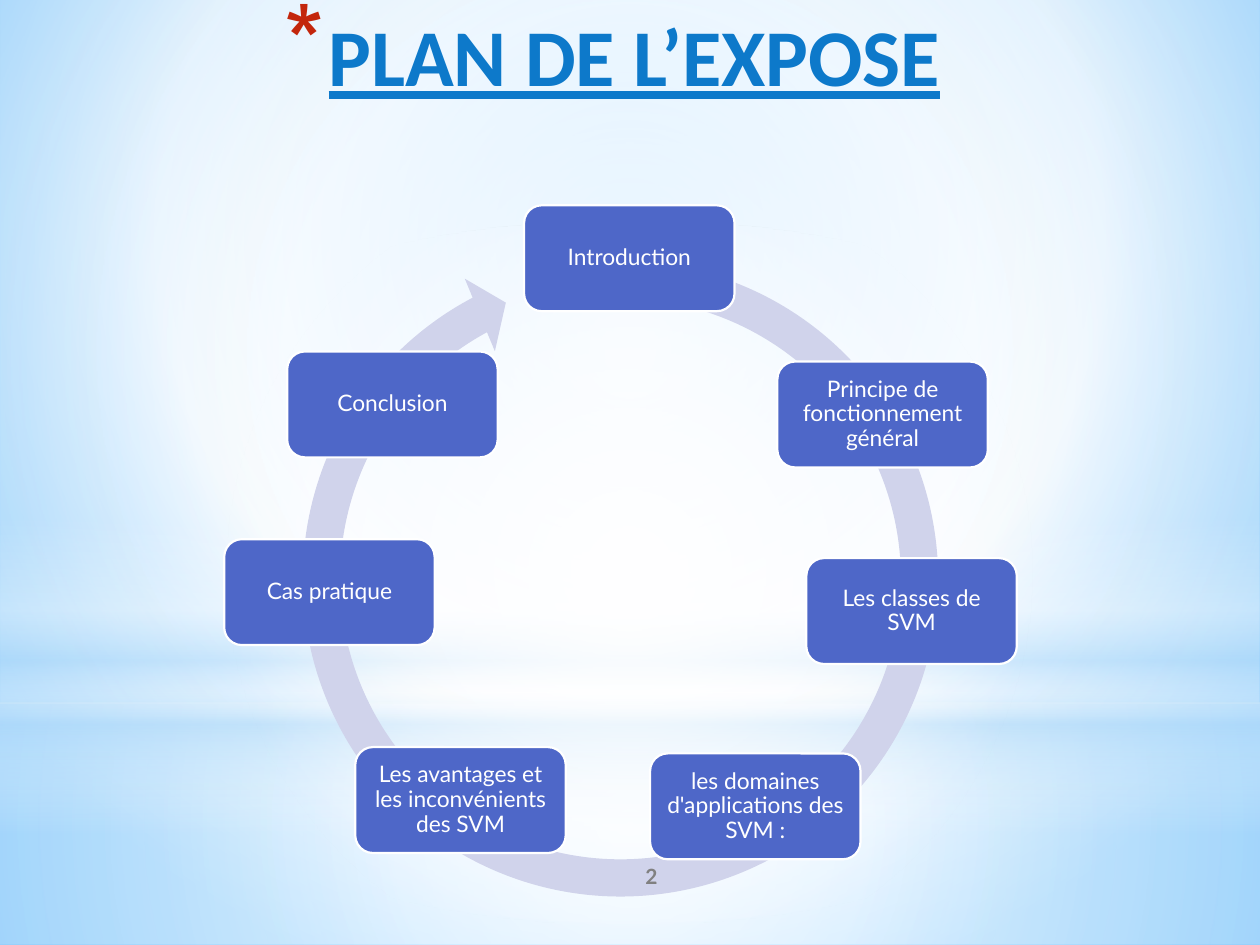
from lxml import etree
from pptx import Presentation
from pptx.dml.color import RGBColor
from pptx.enum.shapes import MSO_SHAPE
from pptx.enum.text import MSO_ANCHOR, MSO_AUTO_SIZE, PP_ALIGN
from pptx.oxml import parse_xml
from pptx.util import Inches, Pt

RECT, OVAL = MSO_SHAPE.RECTANGLE, MSO_SHAPE.OVAL
CARD, RING = MSO_SHAPE.ROUNDED_RECTANGLE, MSO_SHAPE.CIRCULAR_ARROW
TOP, MIDDLE = MSO_ANCHOR.TOP, MSO_ANCHOR.MIDDLE
NO_FIT, CENTER = MSO_AUTO_SIZE.NONE, PP_ALIGN.CENTER
NS = "http://schemas.openxmlformats.org/drawingml/2006/main"

COLORS = {
    "white": "FFFFFF", "pale": "B4DCFA", "sky": "9ED5FF", "deep": "5BB9FF",
    "title": "0D79CA", "star": "C3260C", "ring": "D0D3EB",
    "card": "4E67C8", "number": "808080",
}

# Gradient stops: position, colour, opacity (all in percent)
BACK = [(0, "sky", 100), (60, "white", 100), (100, "deep", 100)]
MID = (50, 50, 50, 50)
LAYERS = [
    (RECT, (0, 5.58, 10, 1.92),
     [(0, "white", 91), (37, "white", 76), (100, "pale", 79)], MID),
    (RECT, (0, 0, 10, 5.58),
     [(0, "white", 89), (48, "white", 62), (100, "pale", 79)], MID),
    (RECT, (0, 4.12, 10, 2.5),
     [(0, "white", 0), (29, "white", 30), (45, "pale", 40),
      (55, "white", 26), (65, "pale", 60), (100, "white", 0)], None),
    (OVAL, (0, 1.75, 10, 5.58),
     [(0, "white", 100), (56, "white", 0)], MID),
]

CARDS = [
    (4.16, 1.63, "Introduction"),
    (6.17, 2.87, "Principe de fonctionnement général"),
    (6.4, 4.43, "Les classes de SVM"),
    (5.16, 5.98, "les domaines d'applications des SVM :"),
    (2.82, 5.93, "Les avantages et les inconvénients des SVM"),
    (1.78, 4.28, "Cas pratique"),
    (2.28, 2.79, "Conclusion"),
]


def rgb(name):
    return RGBColor.from_string(COLORS[name])


def blend(stops, focus):
    """Gradient fill: round towards focus, or top to bottom without one."""
    marks = "".join(
        f'<a:gs pos="{pos * 1000}"><a:srgbClr val="{COLORS[name]}">'
        f'<a:alpha val="{alpha * 1000}"/></a:srgbClr></a:gs>'
        for pos, name, alpha in stops)
    way = '<a:lin ang="5400000" scaled="0"/>'
    if focus:
        sides = " ".join(f'{side}="{part * 1000}"'
                         for side, part in zip("ltrb", focus))
        way = f'<a:path path="circle"><a:fillToRect {sides}/></a:path>'
    return parse_xml(f'<a:gradFill xmlns:a="{NS}" rotWithShape="1">'
                     f'<a:gsLst>{marks}</a:gsLst>{way}</a:gradFill>')


def add_form(slide, kind, box, color):
    form = slide.shapes.add_shape(kind, *map(Inches, box))
    form.shadow.inherit = False
    form.fill.solid()
    form.fill.fore_color.rgb = rgb(color)
    form.line.fill.background()
    return form


def swap_fill(parent, fill):
    old = parent.find(f"{{{NS}}}solidFill")
    parent.replace(old, fill)


def set_text(frame, text, size, face, color, anchor, bold=False):
    frame.text = text
    frame.word_wrap = True
    frame.auto_size = NO_FIT
    frame.vertical_anchor = anchor
    para = frame.paragraphs[0]
    para.alignment = CENTER
    font = para.font
    font.size, font.name, font.bold = Pt(size), face, bold
    font.color.rgb = rgb(color)
    return para


def add_back(slide):
    fill = slide.background.fill
    fill.solid()
    fill.fore_color.rgb = rgb("white")
    root = slide.background._cSld.bg.bgPr
    swap_fill(root, blend(BACK, (20, 10, 20, 60)))
    for kind, box, stops, focus in LAYERS:
        layer = add_form(slide, kind, box, "white")
        swap_fill(layer.element.spPr, blend(stops, focus))


def add_title(slide, text):
    title = slide.shapes.title
    title.left, title.top = Inches(1.3), Inches(0)
    title.width, title.height = Inches(7.12), Inches(1.25)
    para = set_text(title.text_frame, text, 46, "Calibri", "title", TOP, True)
    para.font.underline = True
    # Star bullet with a hanging indent
    props = para._p.get_or_add_pPr()
    props.set("marL", str(Inches(0.35)))
    props.set("indent", str(Inches(-0.35)))
    marks = [etree.Element(f"{{{NS}}}{tag}")
             for tag in ("buClr", "buSzPct", "buChar")]
    etree.SubElement(marks[0], f"{{{NS}}}srgbClr", val=COLORS["star"])
    marks[1].set("val", "128000")
    marks[2].set("char", "*")
    for spot, mark in enumerate(marks):
        props.insert(spot, mark)
    # Bring the title in front of the backdrop
    slide.shapes.element.append(title.element)


def add_ring(slide):
    ring = add_form(slide, RING, (2.24, 1.91, 5.37, 5.37), "ring")
    for spot, value in enumerate((0.055, 3.307, 145.166, 169.498, 0.058)):
        ring.adjustments[spot] = value


def add_card(slide, left, top, text):
    card = add_form(slide, CARD, (left, top, 1.67, 0.84), "card")
    card.line.color.rgb = rgb("white")
    card.line.width = Pt(1.25)
    frame = card.text_frame
    frame.margin_left = frame.margin_right = Inches(0.05)
    frame.margin_top = frame.margin_bottom = Inches(0.05)
    para = set_text(frame, text, 13, "Lato", "white", MIDDLE)
    para.line_spacing = 0.9


def add_number(slide, text):
    box = slide.shapes.add_textbox(*map(Inches, (4.17, 6.75, 2, 0.4)))
    set_text(box.text_frame, text, 12, "Lato", "number", MIDDLE, True)


def main():
    deck = Presentation()
    deck.slide_width, deck.slide_height = Inches(10), Inches(7.5)
    slide = deck.slides.add_slide(deck.slide_layouts[5])
    add_back(slide)
    add_title(slide, "PLAN DE L’EXPOSE")
    # Cycle of topics
    add_ring(slide)
    for left, top, text in CARDS:
        add_card(slide, left, top, text)
    add_number(slide, "2")
    deck.save("out.pptx")


main()
